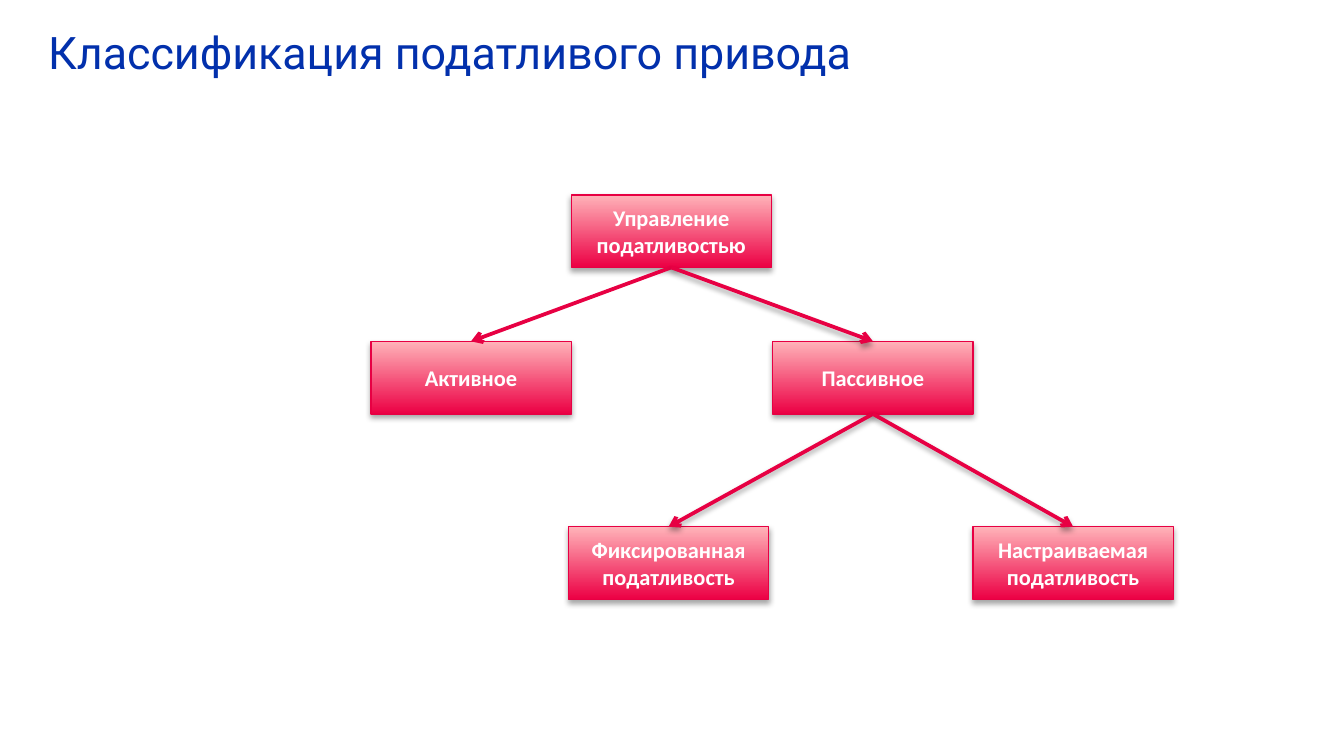
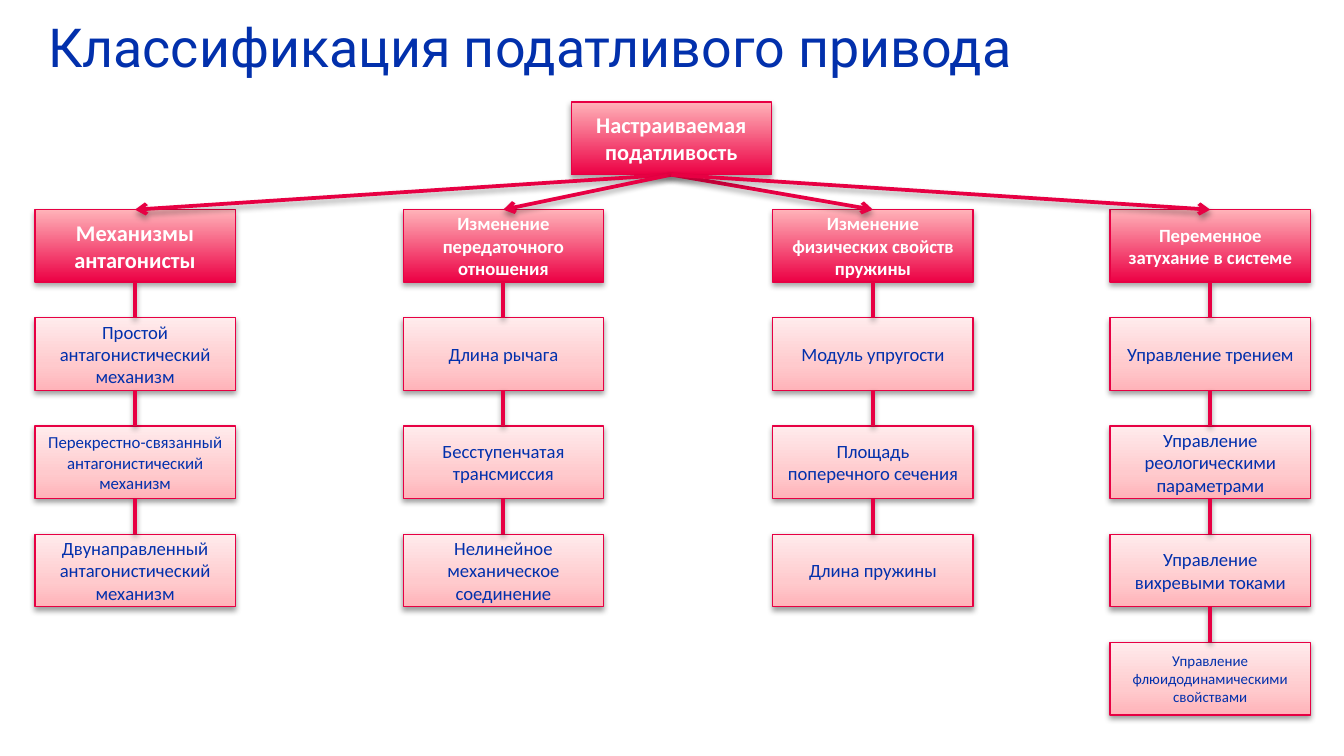
"""Build two slides that classify compliant drives."""
import dataclasses
import itertools
import typing

import lxml.etree
import pptx
import pptx.dml.color
import pptx.enum.shapes
import pptx.enum.text
import pptx.oxml.ns
import pptx.util

Inches = pptx.util.Inches
Pt = pptx.util.Pt
RGBColor = pptx.dml.color.RGBColor
qn = pptx.oxml.ns.qn

BLUE = RGBColor(0x02, 0x30, 0xAC)
CRIMSON = RGBColor(0xE7, 0x00, 0x43)
RED = RGBColor(0xEC, 0x00, 0x44)
PINK = RGBColor(0xFF, 0xB3, 0xB9)
LIGHT_PINK = RGBColor(0xFF, 0xCA, 0xCD)
PALE_PINK = RGBColor(0xFF, 0xEB, 0xEC)
WHITE = RGBColor(0xFF, 0xFF, 0xFF)
BLACK = RGBColor(0x00, 0x00, 0x00)

TITLE = "Классификация податливого привода"
TITLE_FONT = "Roboto"
BODY_FONT = "Calibri"
PAGE_WIDTH = Inches(10)
PAGE_HEIGHT = PAGE_WIDTH * 9 // 16
BOX_WIDTH = Inches(1.49)
BOX_HEIGHT = Inches(0.54)
ROW_TOP = Inches(1.56)
ROW_STEP = Inches(0.8) + Inches(0.01) // 2
TOP_SITE, BOTTOM_SITE = 0, 2


@dataclasses.dataclass(frozen=True)
class Shadow:
    """Downward soft shadow."""
    opacity: int
    distance: float
    blur: float = 3.1


@dataclasses.dataclass(frozen=True)
class BoxStyle:
    """Look of one kind of box."""
    stops: tuple[tuple[int, RGBColor], ...]
    text_color: RGBColor
    bold: bool
    shadow: Shadow


@dataclasses.dataclass(frozen=True)
class Label:
    """Wording of a box and its text size."""
    text: str
    size: float = 10


@dataclasses.dataclass(frozen=True)
class Column:
    """Header and the items hanging below it."""
    left: float
    header: Label
    items: tuple[Label, ...]


STRONG_SHADOW = Shadow(35, 1.8)
SOFT_SHADOW = Shadow(38, 1.6)
STRONG = BoxStyle(((0, RED), (100, PINK)), WHITE, True, STRONG_SHADOW)
PALE = BoxStyle(((0, PINK), (35, LIGHT_PINK), (100, PALE_PINK)), BLUE, False, SOFT_SHADOW)

COLUMNS = (
    Column(0.26, Label("Механизмы антагонисты", 12), (
        Label("Простой антагонистический механизм"),
        Label("Перекрестно-связанный антагонистический механизм", 9),
        Label("Двунаправленный антагонистический механизм"),
    )),
    Column(3, Label("Изменение передаточного отношения"), (
        Label("Длина рычага"),
        Label("Бесступенчатая трансмиссия"),
        Label("Нелинейное механическое соединение"),
    )),
    Column(5.75, Label("Изменение физических свойств пружины"), (
        Label("Модуль упругости"),
        Label("Площадь поперечного сечения"),
        Label("Длина пружины"),
    )),
    Column(8.26, Label("Переменное затухание в системе"), (
        Label("Управление трением"),
        Label("Управление реологическими параметрами"),
        Label("Управление вихревыми токами"),
        Label("Управление флюидодинамическими свойствами", 8),
    )),
)


def add_color(parent: typing.Any, color: RGBColor) -> typing.Any:
    """Append a colour element."""
    return lxml.etree.SubElement(parent, qn("a:srgbClr"), val=str(color))


def set_shadow(properties: typing.Any, shadow: typing.Optional[Shadow]) -> None:
    """Give a shape or connector its own shadow, or none."""
    effects = properties.find(qn("a:effectLst"))
    if effects is None:
        effects = lxml.etree.SubElement(properties, qn("a:effectLst"))
    if shadow is None:
        return
    outer = lxml.etree.SubElement(
        effects, qn("a:outerShdw"), blurRad=str(Pt(shadow.blur)),
        dist=str(Pt(shadow.distance)), dir="5400000", rotWithShape="0")
    color = add_color(outer, BLACK)
    lxml.etree.SubElement(color, qn("a:alpha"), val=str(shadow.opacity * 1000))


def set_gradient(box: typing.Any, stops: tuple[tuple[int, RGBColor], ...]) -> None:
    """Fill a box with a gradient that runs from bottom to top."""
    box.fill.gradient()
    box.fill.gradient_angle = 90
    stop_list = box.element.spPr.find(qn("a:gradFill")).find(qn("a:gsLst"))
    for stop in list(stop_list):
        stop_list.remove(stop)
    for position, color in stops:
        stop = lxml.etree.SubElement(stop_list, qn("a:gs"), pos=str(position * 1000))
        add_color(stop, color)


def add_span(para: typing.Any, label: Label, font: str, color: RGBColor, bold: bool) -> None:
    """Add one formatted run."""
    span = para.add_run()
    span.text = label.text
    span.font.name = font
    span.font.size = Pt(label.size)
    span.font.bold = bold
    span.font.color.rgb = color


def add_page(deck: typing.Any, title_width: float, title_size: float) -> typing.Any:
    """Add a blank page with the shared title."""
    page = deck.slides.add_slide(deck.slide_layouts[6])
    box = page.shapes.add_textbox(Inches(0.26), Inches(0.09), Inches(title_width), Inches(0.54))
    frame = box.text_frame
    frame.word_wrap = True
    frame.margin_top = frame.margin_bottom = Inches(0.05)
    frame.vertical_anchor = pptx.enum.text.MSO_ANCHOR.BOTTOM
    add_span(frame.paragraphs[0], Label(TITLE, title_size), TITLE_FONT, BLUE, False)
    return page


def add_box(page: typing.Any, left: int, top: int, label: Label,
            style: BoxStyle = STRONG) -> typing.Any:
    """Draw one labelled box."""
    box = page.shapes.add_shape(
        pptx.enum.shapes.MSO_SHAPE.FLOWCHART_PROCESS, left, top, BOX_WIDTH, BOX_HEIGHT)
    box.line.color.rgb = CRIMSON
    box.line.width = Pt(0.75)
    set_gradient(box, style.stops)
    box.shadow.inherit = False
    set_shadow(box.element.spPr, style.shadow)
    frame = box.text_frame
    frame.word_wrap = True
    frame.margin_left = frame.margin_right = Inches(0.09)
    frame.vertical_anchor = pptx.enum.text.MSO_ANCHOR.MIDDLE
    para = frame.paragraphs[0]
    para.alignment = pptx.enum.text.PP_ALIGN.CENTER
    add_span(para, label, BODY_FONT, style.text_color, style.bold)
    return box


def link(page: typing.Any, parent: typing.Any, child: typing.Any, arrow: bool = True,
         shadow: typing.Optional[Shadow] = STRONG_SHADOW) -> None:
    """Join the bottom of one box to the top of another."""
    line = page.shapes.add_connector(pptx.enum.shapes.MSO_CONNECTOR.STRAIGHT, 0, 0, 0, 0)
    line.begin_connect(parent, BOTTOM_SITE)
    line.end_connect(child, TOP_SITE)
    line.line.color.rgb = CRIMSON
    line.line.width = Pt(2)
    properties = line.element.spPr
    if arrow:
        lxml.etree.SubElement(properties.find(qn("a:ln")), qn("a:tailEnd"), type="arrow")
    set_shadow(properties, shadow)


def build_control_page(deck: typing.Any) -> None:
    """Draw the tree of compliance control."""
    page = add_page(deck, 7.37, 24)
    control, active, passive, fixed, tunable = (
        add_box(page, Inches(left), Inches(top), Label(text, 12))
        for left, top, text in (
            (4.25, 1.45, "Управление податливостью"),
            (2.76, 2.54, "Активное"),
            (5.75, 2.54, "Пассивное"),
            (4.23, 3.92, "Фиксированная податливость"),
            (7.24, 3.92, "Настраиваемая податливость"),
        ))
    link(page, control, active, shadow=None)
    link(page, control, passive)
    link(page, passive, fixed)
    link(page, passive, tunable)


def build_tunable_page(deck: typing.Any) -> None:
    """Draw the four ways to tune compliance."""
    page = add_page(deck, 7.86, 28.8)
    root = add_box(page, Inches(4.25), Inches(0.76), Label("Настраиваемая податливость", 12))
    for column in COLUMNS:
        left = Inches(column.left)
        header = add_box(page, left, ROW_TOP, column.header)
        link(page, root, header)
        items = [add_box(page, left, ROW_TOP + row * ROW_STEP, label, PALE)
                 for row, label in enumerate(column.items, start=1)]
        link(page, header, items[0], arrow=False)
        for upper, lower in itertools.pairwise(items):
            link(page, upper, lower, arrow=False, shadow=SOFT_SHADOW)


def main() -> None:
    """Build and save the deck."""
    deck = pptx.Presentation()
    deck.slide_width = PAGE_WIDTH
    deck.slide_height = PAGE_HEIGHT
    build_control_page(deck)
    build_tunable_page(deck)
    deck.save("out.pptx")


if __name__ == "__main__":
    main()
